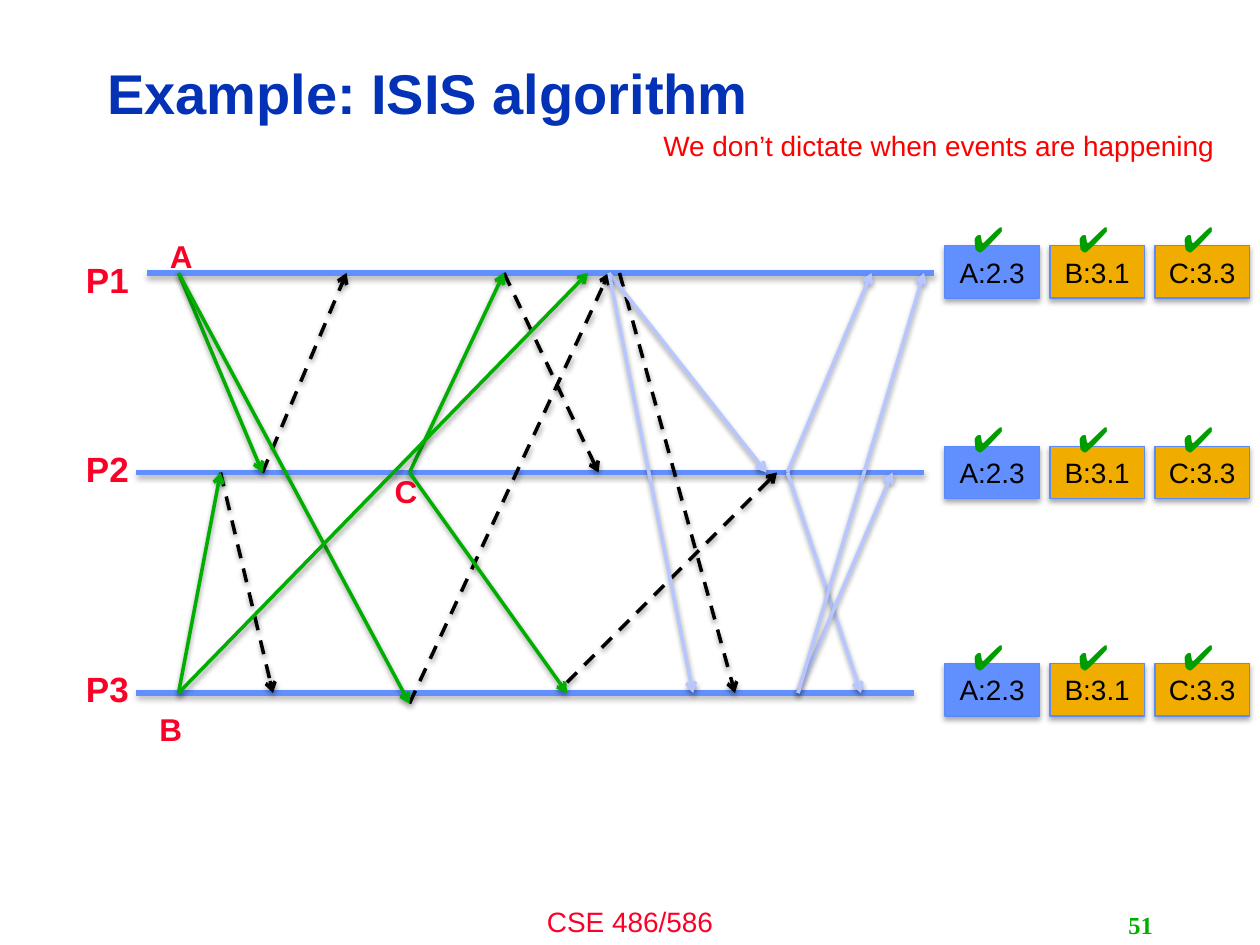
import pptx
import pptx.util
import pptx.dml.color
import pptx.enum.dml
import pptx.enum.shapes
import pptx.enum.text
from dataclasses import dataclass
from lxml import etree

ALIGN = pptx.enum.text.PP_ALIGN
ANCHOR = pptx.enum.text.MSO_ANCHOR
A = "{http://schemas.openxmlformats.org/drawingml/2006/main}"


@dataclass(frozen=True)
class Theme:
    font: str = "Arial"
    number_font: str = "Times New Roman"
    title: str = "0332B7"
    label: str = "FC0128"
    note: str = "FF0000"
    ink: str = "000000"
    process: str = "618FFD"
    border: str = "5B8AFB"
    final: str = "F0AD00"
    tick: str = "009D00"
    multicast: str = "00AE00"
    agreed: str = "B7C6FE"
    title_size: int = 32
    large: int = 20
    medium: int = 18
    body: int = 16
    small: int = 14


class Deck:
    def __init__(self, theme, columns=120, rows=90):
        self.theme = theme
        self.prs = pptx.Presentation()
        self.prs.slide_width = pptx.util.Inches(10)
        self.prs.slide_height = pptx.util.Inches(7.5)
        self.column = self.prs.slide_width / columns
        self.row = self.prs.slide_height / rows
        self.s = self.prs.slides.add_slide(self.prs.slide_layouts[5])

    def place(self, *cells):
        units = (self.column, self.row) * 2
        return [pptx.util.Emu(round(c * u)) for c, u in zip(cells, units)]

    def color(self, value):
        return pptx.dml.color.RGBColor.from_string(value)

    def set_text(self, sp, text, size, color, bold=False, align=ALIGN.LEFT,
                 anchor=ANCHOR.TOP, wrap=False, font=None):
        tf = sp.text_frame
        tf.word_wrap = wrap
        tf.vertical_anchor = anchor
        p = tf.paragraphs[0]
        p.text = text
        p.alignment = align
        p.font.name = font or self.theme.font
        p.font.size = pptx.util.Pt(size)
        p.font.bold = bold
        p.font.color.rgb = self.color(color)
        return p

    def shade(self, sp, distance, opacity):
        effects = etree.SubElement(sp.element.spPr, A + "effectLst")
        shadow = etree.SubElement(
            effects, A + "outerShdw", blurRad="40000", dist=str(distance),
            dir="5400000", rotWithShape="0")
        tint = etree.SubElement(shadow, A + "srgbClr", val=self.theme.ink)
        etree.SubElement(tint, A + "alpha", val=str(opacity * 1000))

    def title(self, text, *cells):
        sp = self.s.shapes.title
        sp.left, sp.top, sp.width, sp.height = self.place(*cells)
        p = self.set_text(sp, text, self.theme.title_size, self.theme.title,
                          bold=True, anchor=ANCHOR.MIDDLE, wrap=True)
        p.line_spacing = 0.9

    def text(self, text, cells, size, color, **style):
        sp = self.s.shapes.add_textbox(*self.place(*cells))
        self.set_text(sp, text, size, color, **style)

    def box(self, text, cells, fill):
        sp = self.s.shapes.add_shape(
            pptx.enum.shapes.MSO_SHAPE.RECTANGLE, *self.place(*cells))
        sp.fill.solid()
        sp.fill.fore_color.rgb = self.color(fill)
        sp.line.color.rgb = self.color(self.theme.border)
        sp.line.width = pptx.util.Pt(0.75)
        self.shade(sp, 23000, 35)
        self.set_text(sp, text, self.theme.body, self.theme.ink,
                      align=ALIGN.CENTER, anchor=ANCHOR.MIDDLE)

    def line(self, cells, color, width):
        sp = self.s.shapes.add_connector(
            pptx.enum.shapes.MSO_CONNECTOR.STRAIGHT, *self.place(*cells))
        sp.line.color.rgb = self.color(color)
        sp.line.width = pptx.util.Pt(width)
        self.shade(sp, 23000 if width > 2 else 20000, 35 if width > 2 else 38)
        return sp

    def arrow(self, cells, color, dashed=False):
        sp = self.line(cells, color, 2)
        if dashed:
            sp.line.dash_style = pptx.enum.dml.MSO_LINE.DASH
        etree.SubElement(sp.element.spPr.find(A + "ln"), A + "tailEnd", type="arrow")


theme = Theme()
deck = Deck(theme)
P1, P2, P3 = 26, 45, 66

deck.text("CSE 486/586", (40, 85.56, 40, 4.44), theme.body, theme.label,
          align=ALIGN.CENTER, wrap=True)
deck.title("Example: ISIS algorithm", 9, 4.32, 95.76, 9.72)
deck.text("51", (86, 86.16, 25, 3.84), theme.small, theme.multicast, bold=True,
          align=ALIGN.RIGHT, anchor=ANCHOR.MIDDLE, font=theme.number_font)
deck.text("We don’t dictate when events are happening", (62, 11.64, 55.44, 4.44),
          theme.body, theme.note)

processes = [("P1", P1, 14, 89, 24, 23.4), ("P2", P2, 13, 88, 42, 42.5),
             ("P3", P3, 13, 87, 63, 63.2)]
for name, row, start, end, label_top, box_top in processes:
    deck.line((start, row, end, row), theme.process, 3)
    deck.text(name, (7, label_top, 6.6, 4.92), theme.large, theme.label, bold=True)

for name, left, top in [("A", 15, 22), ("B", 14, 67), ("C", 36.4, 44.4)]:
    deck.text(name, (left, top, 4.56, 4.56), theme.medium, theme.label, bold=True)

multicasts = [(17, P3, 21, P2), (17, P1, 25, P2), (17, P1, 39, 67),
              (39, P2, 48, P1), (39, P2, 54, P3), (17, P3, 56, P1)]
proposals = [(21, P2, 26, P3), (25, P2, 33, P1), (39, 67, 58, P1),
             (48, P1, 57, P2), (54, 65, 74, P2), (59, P1, 70, P3)]
agreements = [(58, P1, 73, P2), (58, P1, 66, P3), (75, P2, 83, P1),
              (75, P2, 82, P3), (76, P3, 85, P2), (76, P3, 88, P1)]
for messages, color, dashed in [(proposals, theme.ink, True),
                                (multicasts, theme.multicast, False),
                                (agreements, theme.agreed, False)]:
    for cells in messages:
        deck.arrow(cells, color, dashed)

deliveries = [("A:2.3", theme.process), ("B:3.1", theme.final), ("C:3.3", theme.final)]
for *_, box_top in processes:
    for i, (text, fill) in enumerate(deliveries):
        left = 90 + 10 * i
        deck.box(text, (left, box_top, 9, 5), fill)
        deck.text("✔", (left + 1.5, box_top - 3.3, 5.76, 4.92), theme.large, theme.tick)

deck.prs.save("out.pptx")
